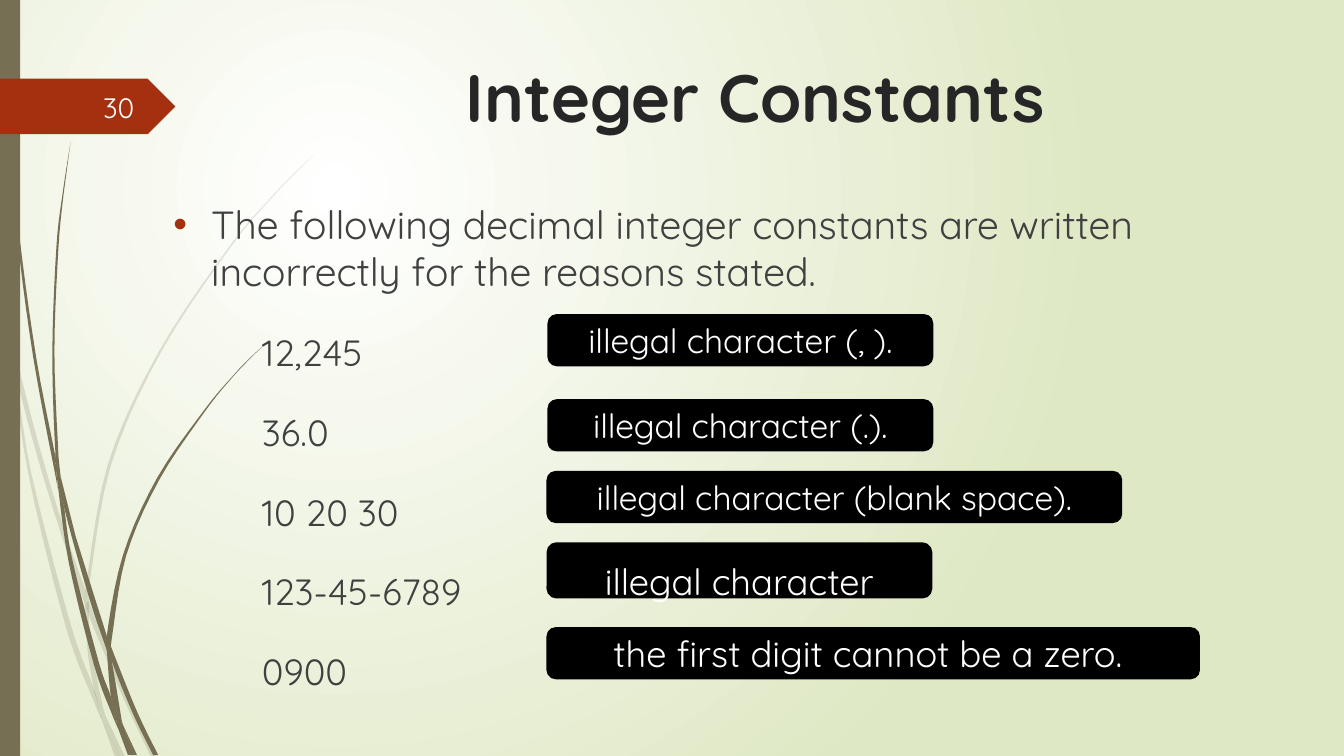
"""Build the Integer Constants slide with its grass-blade backdrop."""
from lxml import etree
from pptx import Presentation
from pptx.dml.color import RGBColor
from pptx.enum.shapes import MSO_SHAPE
from pptx.enum.text import MSO_ANCHOR, MSO_AUTO_SIZE, PP_ALIGN
from pptx.oxml.ns import qn
from pptx.util import Pt

RECTANGLE, ROUNDED, ARROW_TAG = MSO_SHAPE.RECTANGLE, MSO_SHAPE.ROUNDED_RECTANGLE, MSO_SHAPE.PENTAGON
CENTER, RIGHT, LEFT = PP_ALIGN.CENTER, PP_ALIGN.RIGHT, PP_ALIGN.LEFT
TOP, MIDDLE = MSO_ANCHOR.TOP, MSO_ANCHOR.MIDDLE
SHRINK, NO_FIT = MSO_AUTO_SIZE.TEXT_TO_FIT_SHAPE, MSO_AUTO_SIZE.NONE

THEME = {
    "font": "Quicksand", "glow": "FFFFFF", "backdrop": "DFE8C4", "grass": "766F54",
    "accent": "A53010", "heading": "262626", "body": "404040", "label": "000000",
    "label_text": "FFFFFF", "number": "FEFFFF",
    "title_size": 48, "lead_size": 28, "example_size": 26, "reason_size": 24, "number_size": 20,
}
PALE_BLADES = [
    ([(0, 203), (6.5, 231.8), (7.9, 252)], [(7.2, 247.7), (0, 215.3)]),
    ([(10.1, 248.4), (12.2, 270.7), (25.9, 323.5), (41.8, 375.8), (60.5, 431.3)],
     [(61.2, 421.9), (44.6, 374.4), (26, 311.5), (10.1, 248.4)]),
    ([(63.4, 429.1), (63.4, 439.2), (88.6, 499.7), (108, 540.7)],
     [(111.6, 540.7), (91.4, 498.2), (66.2, 437)]),
    ([(75.6, 511.9), (85.7, 540.7)], [(89.3, 540.7)]),
    ([(7.9, 252), (20.2, 338.4), (46.8, 447.1), (66.2, 499), (72.7, 514.1)],
     [(71.3, 509), (67, 491.8), (50.4, 445.7), (22.3, 337.7), (12.2, 270.7)]),
    ([(60.5, 431.3), (62.6, 465.1), (67, 491.8), (69.1, 498.2), (75.6, 511.9)],
     [(74.2, 508.3), (65.5, 465.1), (63.4, 439.2), (63.4, 437.8)]),
    ([(224.6, 110.2), (208.1, 126), (193, 141.8), (164.2, 175.7), (113.8, 250.6), (77, 331.9),
      (61.2, 420.5), (61.2, 421.9), (63.4, 429.1)],
     [(63.4, 420.5), (79.2, 332.6), (115.2, 251.3), (164.9, 176.4), (193, 142.6), (208.8, 126)]),
    ([(72.7, 514.1), (82.1, 540.7)], [(85.7, 540.7)]),
    ([(61.2, 421.9), (60.5, 431.3), (63.4, 437.8)], [(63.4, 429.1)]),
    ([(67, 491.8), (71.3, 509), (72.7, 514.1), (85.7, 540.7)], [(75.6, 511.9), (69.1, 498.2)]),
]
DARK_BLADES = [
    ([(2.2, 0), (2.9, 34.6), (5, 79.2), (12.2, 167.8), (23.8, 255.6), (40.3, 343.4), (41, 346.3)],
     [(39.6, 329), (39.6, 326.2), (25.9, 255.6), (13.7, 167), (5.8, 78.5), (3.6, 34.6), (2.9, 0)]),
    ([(43.2, 339.8), (46.1, 363.6), (63.4, 426.2), (76.3, 464.4)],
     [(76.3, 455.8), (76.3, 454.3), (67, 424.8), (54, 383)]),
    ([(79.2, 461.5), (79.9, 472.3), (95, 509.8), (109.4, 539.3)],
     [(113, 539.3), (97.9, 508.3), (81.4, 467.3)]),
    ([(41, 343.4), (49, 401), (67, 474.5), (79.9, 509.8), (84.2, 519.8)],
     [(83.5, 516.2), (79.2, 497.5), (70.6, 473), (51.8, 400.3), (46.1, 363.6)]),
    ([(50.4, 101.5), (44.6, 139), (40.3, 176.4), (37.4, 251.3), (39.6, 323.3), (43.2, 339.8)],
     [(41.8, 326.2), (38.9, 251.3), (41.8, 176.4), (45.4, 139)]),
    ([(87.8, 517.7), (95.8, 539.3)], [(97.9, 539.3)]),
    ([(39.6, 323.3), (39.6, 326.2), (41, 343.4), (46.1, 363.6)], [(43.2, 339.8)]),
    ([(187.2, 247.7), (176.4, 257.8), (166.3, 268.6), (146.9, 291.6), (112.3, 341.3),
      (87.8, 396.7), (76.3, 454.3), (79.2, 461.5)],
     [(79.9, 455.8), (90, 397.4), (113.8, 342.7), (147.6, 292.3), (166.3, 269.3), (176.4, 258.5)]),
    ([(84.2, 519.8), (91.4, 539.3)], [(94.3, 539.3)]),
    ([(76.3, 464.4), (79.2, 497.5), (83.5, 508.3), (87.8, 517.7)],
     [(87.1, 515.5), (79.9, 472.3), (78.5, 468.7)]),
    ([(76.3, 454.3), (76.3, 464.4), (79.9, 472.3)], [(79.2, 461.5)]),
    ([(79.2, 497.5), (83.5, 516.2), (84.2, 519.8), (93.6, 539.3)],
     [(95.8, 539.3), (87.8, 517.7), (83.5, 508.3)]),
]
LEAD = "The following decimal integer constants are written incorrectly for the reasons stated."
EXAMPLES = ["12,245", "36.0", "10 20 30", "123-45-6789", "0900"]
REASONS = [
    ("illegal character (, ).", (391.7, 225, 274.3, 36), "reason_size", 1),
    ("illegal character (.).", (391.7, 285.8, 274.3, 36), "reason_size", 1),
    ("illegal character (blank space).", (391, 337, 410, 36), "reason_size", 1),
    ("illegal character", (391, 388, 274.3, 38.9), "example_size", 1.5),
    ("the first digit cannot be a zero. ", (391, 448.6, 465.5, 36), "example_size", 1),
]

def apply(target, values):
    """Set every attribute named in a dict of format values."""
    for name, value in values.items():
        setattr(target, name, value)

def theme_color(name):
    """Look up a colour of the theme."""
    return RGBColor.from_string(THEME[name])

def write(para, text, size, color, bold=False, **layout):
    """Put one formatted span in a paragraph."""
    apply(para, layout)
    span = para.add_run()
    span.text = text
    apply(span.font, {"name": THEME["font"], "size": Pt(THEME[size]), "bold": bold})
    span.font.color.rgb = theme_color(color)

def paint(shape, color, opacity=100):
    """Fill a shape plainly, without outline or shadow."""
    shape.shadow.inherit = False
    shape.fill.solid()
    shape.fill.fore_color.rgb = theme_color(color)
    shape.line.fill.background()
    if opacity < 100:
        tint = next(shape.element.spPr.iter(qn("a:srgbClr")))
        etree.SubElement(tint, qn("a:alpha"), {"val": str(opacity * 1000)})

def add_panel(page, kind, bounds, color):
    """Add a plain preset shape."""
    panel = page.shapes.add_shape(kind, *map(Pt, bounds))
    paint(panel, color)
    return panel

def smooth(points, steps=5):
    """Interpolate one edge with a Catmull-Rom curve."""
    padded = [points[0], *points, points[-1]]
    curve = []
    for corners in zip(padded, padded[1:], padded[2:], padded[3:]):
        for t in (step / steps for step in range(steps)):
            curve.append(tuple(
                b + (c - a) * t / 2 + (2 * a - 5 * b + 4 * c - d) * t**2 / 2
                + (3 * b - a - 3 * c + d) * t**3 / 2 for a, b, c, d in zip(*corners)))
    return curve + [points[-1]]

def add_blades(page, blades, opacity):
    """Draw a group of grass blades, each from its two edges."""
    group = page.shapes.add_group_shape()
    for near_edge, far_edge in blades:
        outline = [(Pt(x), Pt(y)) for x, y in smooth(near_edge) + smooth(far_edge)]
        builder = group.shapes.build_freeform(*outline[0])
        builder.add_line_segments(outline[1:], close=True)
        paint(builder.convert_to_shape(), "grass", opacity)

def set_backdrop(page):
    """Give the page a circular gradient."""
    fill = page.background.fill
    fill.gradient()
    for stop, color in zip(fill.gradient_stops, ("glow", "backdrop")):
        stop.color.rgb = theme_color(color)
    gradient = next(page.element.iter(qn("a:gradFill")))
    gradient.remove(gradient.find(qn("a:lin")))
    circle = etree.SubElement(gradient, qn("a:path"), {"path": "circle"})
    edges = {"l": "50000", "t": "50000", "r": "100000", "b": "100000"}
    etree.SubElement(circle, qn("a:fillToRect"), edges)

def set_bullet(para, margin, indent, mark=None):
    """Set a paragraph's hanging indent and its bullet."""
    props = para._p.get_or_add_pPr()
    props.set("marL", str(Pt(margin)))
    props.set("indent", str(Pt(indent)))
    if mark is None:
        etree.SubElement(props, qn("a:buNone"))
        return
    tint = etree.SubElement(props, qn("a:buClr"))
    etree.SubElement(tint, qn("a:srgbClr"), {"val": THEME["accent"]})
    etree.SubElement(props, qn("a:buFont"), {"typeface": "Arial"})
    etree.SubElement(props, qn("a:buChar"), {"char": mark})

def raise_placeholder(box, bounds, fit):
    """Bring a placeholder to the front, place it and return its text frame."""
    box.element.getparent().append(box.element)
    apply(box, dict(zip(("left", "top", "width", "height"), map(Pt, bounds))))
    apply(box.text_frame, {"vertical_anchor": TOP, "auto_size": fit, "word_wrap": True})
    return box.text_frame

def fill_body(frame):
    """Write the lead sentence and the wrong constants."""
    lead = frame.paragraphs[0]
    set_bullet(lead, 27, -27, "•")
    write(lead, LEAD, "lead_size", "body", alignment=LEFT, space_before=Pt(0))
    for example in EXAMPLES:
        para = frame.add_paragraph()
        set_bullet(para, 62.64, 0.72)
        write(para, example, "example_size", "body", level=4, alignment=LEFT,
              line_spacing=1.5, space_before=Pt(10))

def add_reason(page, text, bounds, size, spacing):
    """Add a black label that states a reason."""
    box = add_panel(page, ROUNDED, bounds, "label")
    box.line.color.rgb = theme_color("label")
    box.line.width = Pt(1.25)
    apply(box.text_frame, {"vertical_anchor": MIDDLE, "word_wrap": True})
    write(box.text_frame.paragraphs[0], text, size, "label_text", alignment=CENTER, line_spacing=spacing)

def main():
    """Build and save the deck."""
    deck = Presentation()
    apply(deck, {"slide_width": Pt(960), "slide_height": Pt(540)})
    page = deck.slides.add_slide(deck.slide_layouts[1])
    title, body = page.placeholders
    set_backdrop(page)
    add_blades(page, PALE_BLADES, 20)
    add_blades(page, DARK_BLADES, 100)
    add_panel(page, RECTANGLE, (0, 0, 14.4, 540), "grass")
    add_panel(page, ARROW_TAG, (0, 56.2, 125.3, 39.6), "accent")
    heading = raise_placeholder(title, (188.6, 36, 702, 79.2), NO_FIT)
    write(heading.paragraphs[0], "Integer Constants", "title_size", "heading", True, alignment=CENTER)
    fill_body(raise_placeholder(body, (116.6, 139.7, 823.7, 371.5), SHRINK))
    for reason in REASONS:
        add_reason(page, *reason)
    number = page.shapes.add_textbox(*map(Pt, (41.8, 61.9, 61.2, 28.8))).text_frame
    apply(number, {"vertical_anchor": MIDDLE, "word_wrap": True})
    write(number.paragraphs[0], "30", "number_size", "number", alignment=RIGHT)
    deck.save("out.pptx")

if __name__ == "__main__":
    main()
